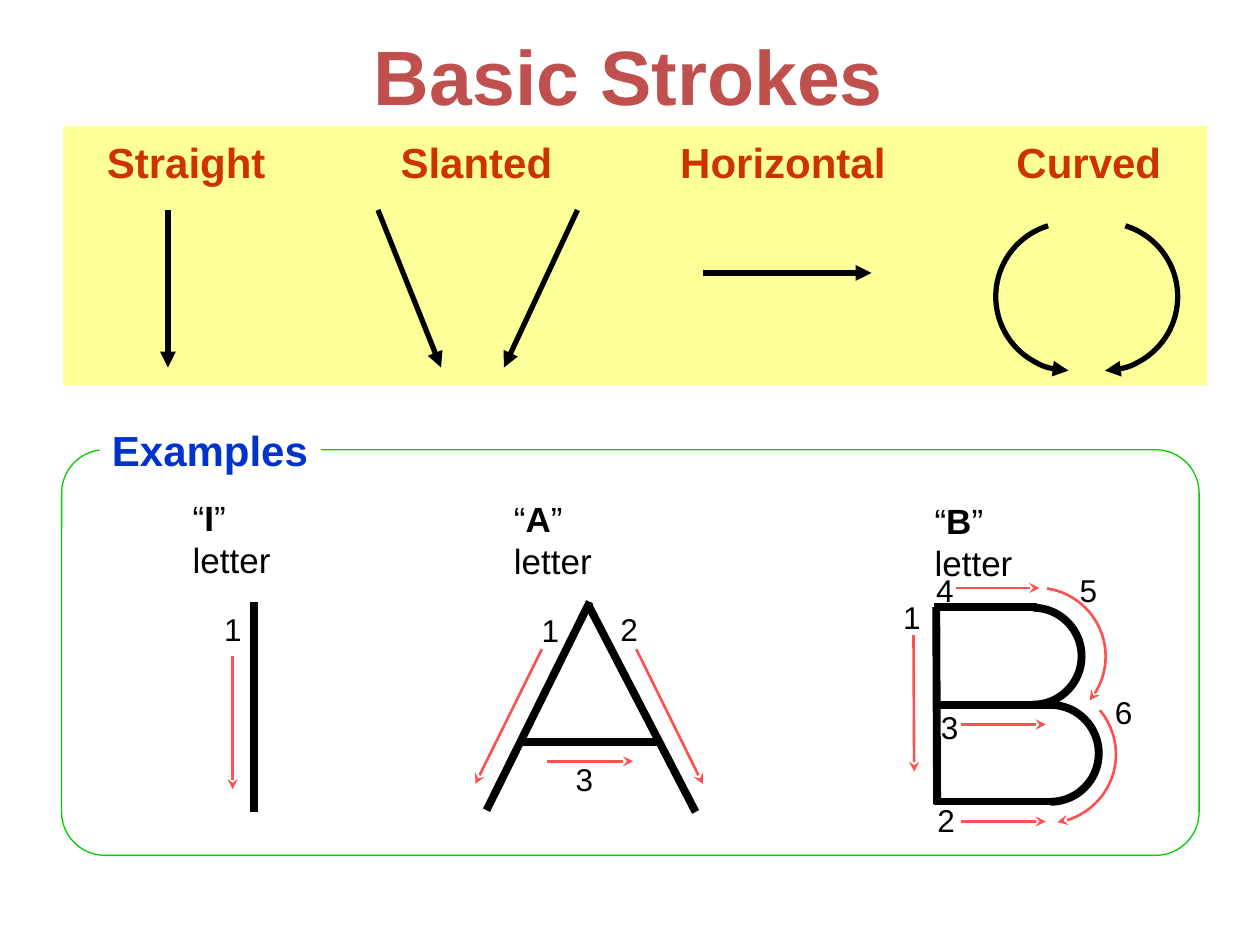
from lxml import etree
from pptx import Presentation
from pptx.dml.color import RGBColor
from pptx.enum.shapes import MSO_CONNECTOR, MSO_SHAPE
from pptx.enum.text import MSO_ANCHOR, PP_ALIGN
from pptx.oxml.ns import qn
from pptx.util import Pt

STRAIGHT = MSO_CONNECTOR.STRAIGHT
RECT, ROUND, ARC = MSO_SHAPE.RECTANGLE, MSO_SHAPE.ROUNDED_RECTANGLE, MSO_SHAPE.ARC
C = {k: RGBColor.from_string(v) for k, v in {
    "title": "C0504D", "band": "FFFF99", "heading": "CC3300", "black": "000000",
    "red": "FF5050", "frame": "00CC00", "examples": "0033CC", "white": "FFFFFF",
}.items()}
# Stroke styles: colour, width, arrow type, arrow end
BASIC = ("black", 3, "triangle", "tailEnd")
BASIC_BACK = ("black", 3, "triangle", "headEnd")
LETTER = ("black", 4.5, None, None)
GUIDE = ("red", 1.5, "stealth", "tailEnd")

prs = Presentation()
prs.slide_width, prs.slide_height = Pt(720), Pt(540)
s = prs.slides.add_slide(prs.slide_layouts[5])


def style_stroke(sp, style):
    color, width, arrow, end = style
    sp.line.color.rgb = C[color]
    sp.line.width = Pt(width)
    if arrow:
        etree.SubElement(sp.line._get_or_add_ln(), qn("a:" + end), type=arrow)
    if sp._element.spPr.find(qn("a:effectLst")) is None:
        etree.SubElement(sp._element.spPr, qn("a:effectLst"))


def add_text(x, y, w, h, parts, size, color, wrap=False):
    sp = s.shapes.add_textbox(Pt(x), Pt(y), Pt(w), Pt(h))
    sp.text_frame.word_wrap = wrap
    p = sp.text_frame.paragraphs[0]
    p.font.size, p.font.name, p.font.color.rgb = Pt(size), "Arial", C[color]
    for text, bold in parts:
        r = p.add_run()
        r.text, r.font.bold = text, bold
    return sp


# Yellow band
band = s.shapes.add_shape(RECT, Pt(36), Pt(72), Pt(653.8), Pt(148.3))
band.shadow.inherit = False
band.fill.solid()
band.fill.fore_color.rgb = C["band"]
band.line.fill.background()

# Title
title = s.shapes.title
title.left, title.top, title.width, title.height = Pt(35.3), Pt(-2.2), Pt(648), Pt(90)
tf = title.text_frame
tf.text = "Basic Strokes"
tf.vertical_anchor = MSO_ANCHOR.MIDDLE
p = tf.paragraphs[0]
p.alignment = PP_ALIGN.CENTER
p.font.size, p.font.name, p.font.bold = Pt(44), "Arial", True
p.font.color.rgb = C["title"]

# Stroke headings
for x, w, text in [(54, 105, "Straight"), (221.8, 101, "Slanted"),
                   (381.6, 132, "Horizontal"), (573.8, 97, "Curved")]:
    add_text(x, 74.2, w, 36, [(text, True)], 24, "heading")

# Examples frame and caption
frame = s.shapes.add_shape(ROUND, Pt(35.2), Pt(257), Pt(650), Pt(231.8))
frame.adjustments[0] = 0.107
frame.shadow.inherit = False
frame.fill.background()
frame.line.color.rgb = C["frame"]
frame.line.width = Pt(0.75)
caption = add_text(56.9, 239, 126.7, 36, [("Examples", True)], 24, "examples", True)
caption.fill.solid()
caption.fill.fore_color.rgb = C["white"]

# Straight strokes: start, end
lines = {
    BASIC: [(96, 120, 96, 210), (216, 120, 252, 210), (330, 120, 288, 210),
            (402, 156, 498, 156)],
    LETTER: [(145, 344, 145, 464),                                        # I
             (337, 344, 278, 463), (335.8, 345, 397.5, 464),              # A
             (298, 424, 376, 424),
             (535, 347, 535.5, 459.4), (534, 347, 592.6, 347),            # B
             (534, 403, 601.2, 403), (534, 458, 601.2, 458)],
    GUIDE: [(133, 375, 133, 451),
            (309.6, 371, 271.6, 448), (363.6, 371, 401.6, 448),
            (312.5, 435, 361.8, 435),
            (522, 363, 522.4, 441), (549.4, 469.4, 597.6, 469.4),
            (549.4, 414, 597.6, 414), (546.5, 336, 594, 336)],
}
for style, ends in lines.items():
    for x1, y1, x2, y2 in ends:
        cn = s.shapes.add_connector(STRAIGHT, Pt(x1), Pt(y1), Pt(x2), Pt(y2))
        style_stroke(cn, style)

# Curved strokes: centre, radius, clockwise start and end angle in degrees
for cx, cy, radius, start, end, style in [
        (611.3, 169.5, 42.3, 91, 253, BASIC_BACK),
        (630.7, 169.5, 42.3, -73, 89, BASIC),
        (590.4, 375, 27.7, -90, 90, LETTER),
        (600.2, 430.5, 27.7, -90, 90, LETTER),
        (592.6, 375.1, 39.2, -81.5, 40, GUIDE),
        (598.5, 431.1, 39.2, -40, 81.5, GUIDE)]:
    arc = s.shapes.add_shape(ARC, Pt(cx - radius), Pt(cy - radius),
                             Pt(2 * radius), Pt(2 * radius))
    # Angles are stored in 1/60000 degree, adjustments in 1/100000
    arc.adjustments[0] = start % 360 * 0.6
    arc.adjustments[1] = end * 0.6
    arc.fill.background()
    style_stroke(arc, style)

# Letter names
for x, y, w, letter, wrap in [(103, 280, 82, "I", True), (286.6, 281, 92, "A", False),
                              (527, 281.8, 92, "B", False)]:
    add_text(x, y, w, 31, [("“", False), (letter, True), ("” letter", False)],
             20, "black", wrap)

# Stroke order numbers
for x, y, number in [(121, 345, "1"),
                     (302.4, 345.4, "1"), (347.4, 345, "2"), (321.8, 430.6, "3"),
                     (509, 338.4, "1"), (528.5, 454.3, "2"), (530.6, 401, "3"),
                     (527.8, 322.6, "4"), (609.8, 322.6, "5"), (630, 392.4, "6")]:
    add_text(x, y, 24.4, 29, [(number, False)], 18, "black")

prs.save("out.pptx")
